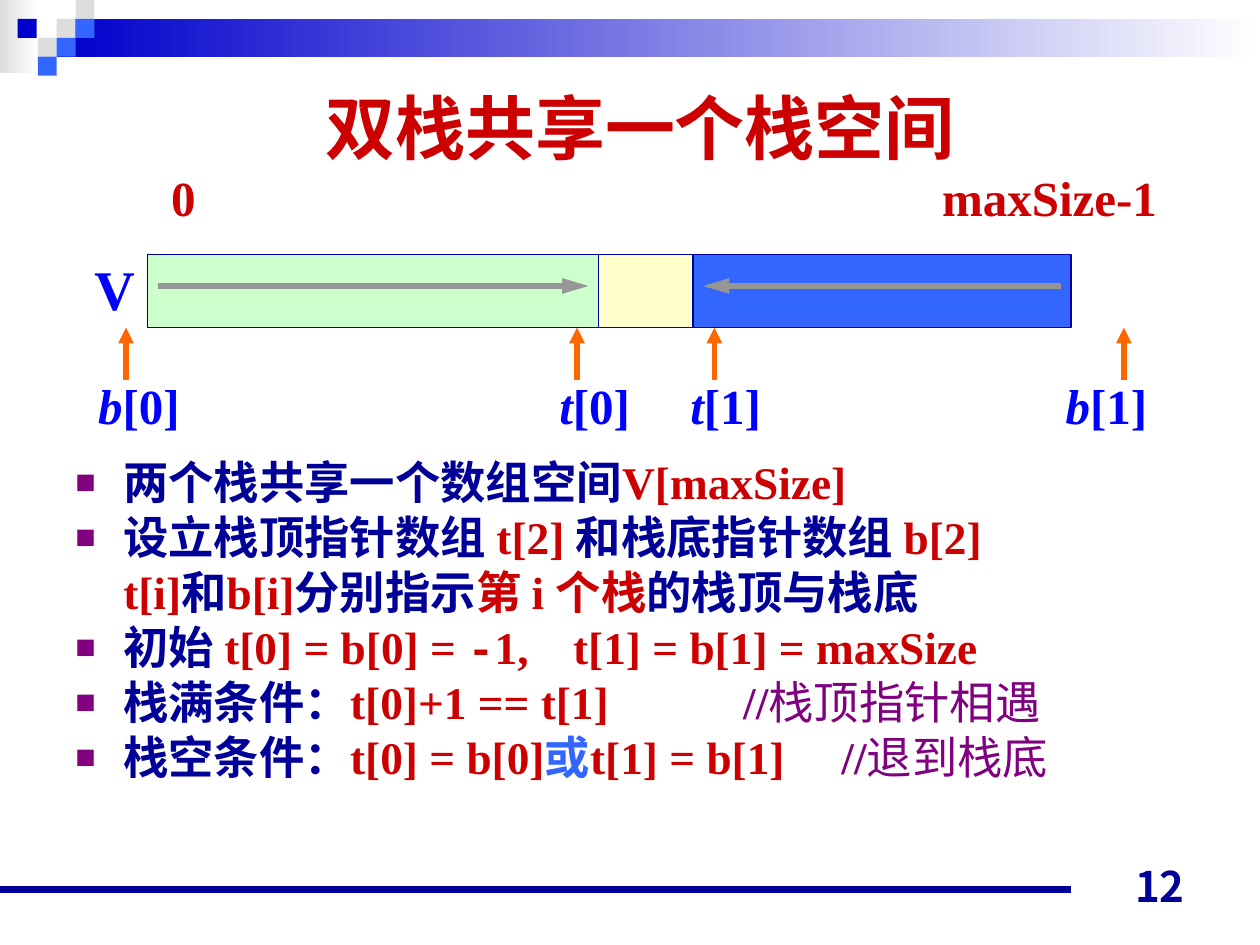
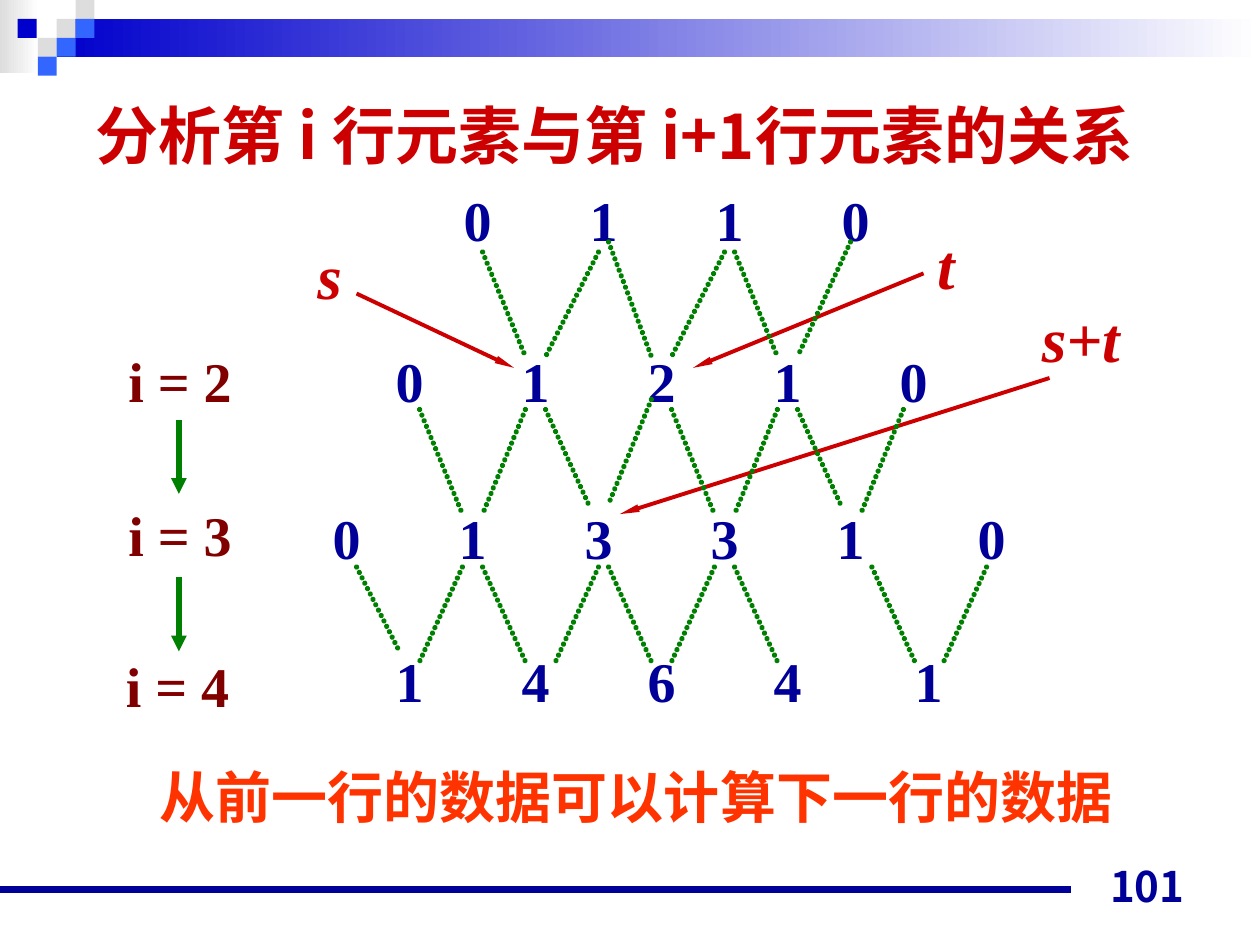
from lxml import etree
from pptx import Presentation
from pptx.dml.color import RGBColor
from pptx.enum.shapes import MSO_CONNECTOR, MSO_SHAPE
from pptx.enum.text import MSO_ANCHOR, MSO_AUTO_SIZE, PP_ALIGN
from pptx.oxml.ns import qn
from pptx.util import Inches, Pt

NAVY = RGBColor(0x00, 0x00, 0x99)
BLUE = RGBColor(0x00, 0x00, 0xFF)
DEEP_BLUE = RGBColor(0x00, 0x00, 0xCC)
SKY = RGBColor(0x33, 0x66, 0xFF)
SILVER = RGBColor(0xDD, 0xDD, 0xDD)
GRAY = RGBColor(0x96, 0x96, 0x96)
WHITE = RGBColor(0xFF, 0xFF, 0xFF)
RED = RGBColor(0xCC, 0x00, 0x00)
ORANGE = RGBColor(0xFF, 0x66, 0x00)
VERMILION = RGBColor(0xFF, 0x33, 0x00)
MAROON = RGBColor(0x80, 0x00, 0x00)
PURPLE = RGBColor(0x80, 0x00, 0x80)
GREEN = RGBColor(0x00, 0x80, 0x00)
MINT = RGBColor(0xCC, 0xFF, 0xCC)
CREAM = RGBColor(0xFF, 0xFF, 0xCC)

SERIF = "Times New Roman"
SANS = "Noto Sans CJK JP"
MONO = "Courier New"
BULLET_FONT = "Arial"
LEAD = 1.2

CHECKER_SIZE = 0.15
CHECKERS = [
    (0.45, 0.15, SILVER), (0.6, 0, SILVER), (0.6, 0.15, SKY), (0.3, 0.3, SILVER),
    (0.14, 0.15, DEEP_BLUE), (0.45, 0.3, SKY), (0.3, 0.45, SKY),
]

STACK_TOP, STACK_HEIGHT = 2.02, 0.58
STACK_PARTS = [(1.17, 3.58, MINT), (4.75, 0.75, CREAM), (5.5, 3, SKY)]
POINTERS = [
    ("b", "[0]", 0.68, 1), ("t", "[0]", 4.34, 4.58),
    ("t", "[1]", 5.38, 5.67), ("b", "[1]", 8.36, 8.92),
]
GROWTH = [(1.25, 4.67), (8.42, 5.58)]
POINTS = [
    (True, [], [("两个栈共享一个数组空间", NAVY), ("V[maxSize]", RED)]),
    (True, [], [("设立栈顶指针数组 ", NAVY), ("t[2] ", RED),
                ("和栈底指针数组 ", NAVY), ("b[2]", RED)]),
    (False, [], [("t[i]", RED), ("和", NAVY), ("b[i]", RED), ("分别指示", NAVY),
                 ("第 i 个栈", RED), ("的栈顶与栈底", NAVY)]),
    (True, [3.95], [("初始 ", NAVY), ("t[0] = b[0] = ", RED), ("-", RED, {"font": MONO}),
                    ("1,\tt[1] = b[1] = maxSize", RED)]),
    (True, [5.3], [("栈满条件：", NAVY), ("t[0]+1 == t[1]\t", RED), ("//", PURPLE),
                   ("栈顶指针相遇", PURPLE, {"bold": False})]),
    (True, [6.08], [("栈空条件：", NAVY), ("t[0] = b[0]", RED), ("或", SKY),
                    ("t[1] = b[1]\t", RED), ("//", PURPLE),
                    ("退到栈底", PURPLE, {"bold": False})]),
]

TRIANGLE_ROWS = [
    (1.42, 3.79, "0110", 0),
    (2.7, 3.25, "01210", 0),
    (3.95, 2.75, "013310", 0.12),
    (5.08, 3.25, "14641", 0.12),
]
ROW_LABELS = [("i = 2", 0.92, 2.7), ("i = 3", 0.92, 3.92), ("i = 4", 0.9, 5.12)]
STEP_ARROWS = [(3.33, 3.92), (4.58, 5.17)]
TERMS = [
    ("s", 2.42, 1.83, (2.83, 2.33, 4.08, 2.92)),
    ("t", 7.34, 1.75, (7.33, 2.17, 5.5, 2.92)),
    ("s+t", 8.17, 2.33, (8.33, 3, 4.92, 4.08)),
]
FALLING = [
    (3.83, 2, 2.83), (4.83, 1.92, 2.83), (5.83, 2, 2.83),
    (3.33, 3.25, 4.08), (4.33, 3.25, 4), (5.33, 3.25, 4.08), (6.33, 3.25, 4),
    (2.83, 4.5, 5.17), (3.83, 4.5, 5.25), (4.83, 4.5, 5.25), (5.83, 4.5, 5.25),
    (6.92, 4.5, 5.25),
]
RISING = [
    (4.17, 3.25, 4.08), (5.17, 3.17, 4), (6.17, 3.25, 4.08), (7.17, 3.25, 4.08),
    (3.67, 4.5, 5.25), (4.75, 4.5, 5.25), (5.67, 4.5, 5.25), (7.83, 4.5, 5.25),
]
TOP_RISING = [(4.75, 2, 2.83), (5.75, 2, 2.83), (6.75, 1.92, 2.83)]


def add_child(parent, tag, **attrs):
    return etree.SubElement(parent, qn(tag), attrs)


def add_run(p, text, size, color, font=SERIF, bold=True, italic=False):
    r = p.add_run()
    r.text = text
    r.font.size = Pt(size)
    r.font.name = font
    r.font.bold = bold
    r.font.italic = italic
    r.font.color.rgb = color
    add_child(r.font._element, "a:ea", typeface=SANS)


def add_box(s, left, top, width, height, wrap=True):
    tf = s.shapes.add_textbox(
        Inches(left), Inches(top), Inches(width), Inches(height)).text_frame
    tf.word_wrap = wrap
    return tf


def add_label(s, text, at, size, color, lead=LEAD, align=PP_ALIGN.LEFT,
              wrap=False, suffix="", **style):
    tf = add_box(s, *at, wrap=wrap)
    tf.auto_size = MSO_AUTO_SIZE.SHAPE_TO_FIT_TEXT
    p = tf.paragraphs[0]
    p.alignment = align
    p.line_spacing = Pt(round(size * lead, 1))
    add_run(p, text, size, color, **style)
    if suffix:
        add_run(p, suffix, size, color)


def add_rect(s, left, top, width, height, fill, fade=False, outline=None):
    sp = s.shapes.add_shape(
        MSO_SHAPE.RECTANGLE, Inches(left), Inches(top), Inches(width), Inches(height))
    sp.shadow.inherit = False
    if fade:
        sp.fill.gradient()
        sp.fill.gradient_angle = 0
        for stop, color in zip(sp.fill.gradient_stops, (fill, WHITE)):
            stop.color.rgb = color
    else:
        sp.fill.solid()
        sp.fill.fore_color.rgb = fill
    if outline is None:
        sp.line.fill.background()
    else:
        sp.line.color.rgb = outline
        sp.line.width = Pt(0.75)


def add_line(s, x1, y1, x2, y2, color, width=3, arrow=None, dotted=False):
    c = s.shapes.add_connector(
        MSO_CONNECTOR.STRAIGHT, Inches(x1), Inches(y1), Inches(x2), Inches(y2))
    c.line.color.rgb = color
    c.line.width = Pt(width)
    ln = c.line._get_or_add_ln()
    if dotted:
        ln.set("cap", "rnd")
        add_child(add_child(ln, "a:custDash"), "a:ds", d="100000", sp="15000")
    if arrow:
        w, length = arrow
        add_child(ln, "a:tailEnd", type="triangle", w=w, len=length)
    add_child(c._element.spPr, "a:effectLst")


def add_base(prs, number):
    s = prs.slides.add_slide(prs.slide_layouts[6])
    add_rect(s, 0, 0, 0.31, 0.58, SILVER, fade=True)
    add_rect(s, 0.45, 0.15, 9.55, 0.3, DEEP_BLUE, fade=True)
    for left, top, color in CHECKERS:
        add_rect(s, left, top, CHECKER_SIZE, CHECKER_SIZE, color)
    add_line(s, 0, 7.06, 8.5, 7.06, NAVY, width=4.5)
    tf = add_box(s, 7.17, 6.78, 2.33, 0.5)
    tf.vertical_anchor = MSO_ANCHOR.BOTTOM
    p = tf.paragraphs[0]
    p.alignment = PP_ALIGN.RIGHT
    add_run(p, number, 24, NAVY, font=SANS)
    return s


def add_points(s):
    tf = add_box(s, 0.5, 3.58, 8.99, 3.36)
    for i, (bulleted, tabs, runs) in enumerate(POINTS):
        p = tf.paragraphs[0] if i == 0 else tf.add_paragraph()
        p.line_spacing = Pt(29.6)
        if i:
            p.space_before = Pt(1.8)
        pPr = p._p.get_or_add_pPr()
        pPr.set("marL", str(Inches(0.38)))
        pPr.set("indent", str(Inches(-0.38 if bulleted else 0)))
        if bulleted:
            add_child(add_child(pPr, "a:buClr"), "a:srgbClr", val=str(PURPLE))
            add_child(pPr, "a:buSzPct", val="75000")
            add_child(pPr, "a:buFont", typeface=BULLET_FONT)
            add_child(pPr, "a:buChar", char="■")
        else:
            add_child(pPr, "a:buNone")
        if tabs:
            tab_list = add_child(pPr, "a:tabLst")
            for tab in tabs:
                add_child(tab_list, "a:tab", pos=str(Inches(tab)), algn="l")
        for text, color, *style in runs:
            add_run(p, text, 25.9, color, **(style[0] if style else {}))


def build_shared_stack(prs):
    s = add_base(prs, "12")
    add_label(s, "双栈共享一个栈空间", (0.58, 0.59, 9, 0.8), 40, RED,
              lead=1.26, align=PP_ALIGN.CENTER, wrap=True)
    bottom = STACK_TOP + STACK_HEIGHT
    for name, index, left, x in POINTERS:
        add_label(s, name, (left, 2.93, 0.85, 0.57), 28, BLUE, italic=True, suffix=index)
        add_line(s, x, 3.02, x, bottom, ORANGE, arrow=("med", "med"))
    for left, width, color in STACK_PARTS:
        add_rect(s, left, STACK_TOP, width, STACK_HEIGHT, color, outline=NAVY)
    add_label(s, "0", (1.26, 1.28, 0.4, 0.57), 28, RED)
    add_label(s, "maxSize-1", (7.08, 1.28, 2.2, 0.57), 28, RED, align=PP_ALIGN.RIGHT)
    add_label(s, "V", (0.65, 1.97, 0.52, 0.64), 32, BLUE)
    for start, end in GROWTH:
        add_line(s, start, 2.27, end, 2.27, GRAY, arrow=("med", "lg"))
    add_points(s)


def build_triangle(prs):
    s = add_base(prs, "101")
    add_label(s, "分析第 i 行元素与第 i+1行元素的关系", (0.66, 0.72, 8.91, 0.7), 36, RED,
              font=SANS)
    add_label(s, "从前一行的数据可以计算下一行的数据", (1.17, 6, 8, 0.64), 32, VERMILION,
              wrap=True)
    for text, left, top in ROW_LABELS:
        add_label(s, text, (left, top, 1.02, 0.64), 32, MAROON)
    for start, end in STEP_ARROWS:
        add_line(s, 1.42, start, 1.42, end, GREEN, arrow=("med", "med"))
    for top, first, digits, last_shift in TRIANGLE_ROWS:
        for k, digit in enumerate(digits):
            center = first + k + (last_shift if k == len(digits) - 1 else 0)
            add_label(s, digit, (center - 0.21, top, 0.42, 0.64), 32, NAVY,
                      align=PP_ALIGN.CENTER)
    for text, left, top, ends in TERMS:
        add_line(s, *ends, RED, width=2.25, arrow=("sm", "lg"))
        add_label(s, text, (left, top, 0.28 + 0.18 * len(text), 0.7), 36, RED, italic=True)
    for links, run in ((FALLING, 0.34), (RISING, -0.34), (TOP_RISING, -0.42)):
        for x, top, bottom in links:
            add_line(s, x, top, x + run, bottom, GREEN, dotted=True)


def main():
    prs = Presentation()
    prs.slide_width = Inches(10)
    prs.slide_height = Inches(7.5)
    build_shared_stack(prs)
    build_triangle(prs)
    prs.save("out.pptx")


if __name__ == "__main__":
    main()
